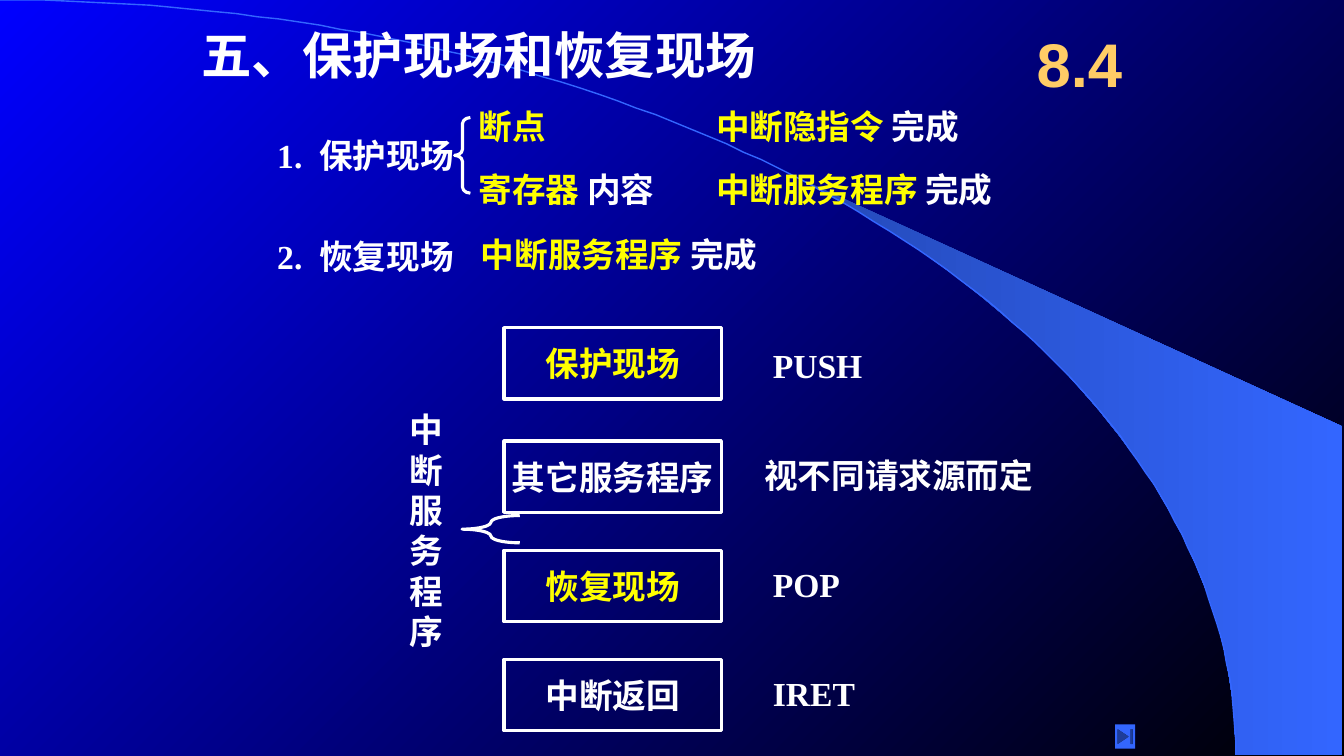
from dataclasses import dataclass
from math import asin, cos, pi, sin

from lxml.etree import SubElement
from pptx import Presentation
from pptx.dml.color import RGBColor as RGB
from pptx.enum.shapes import MSO_SHAPE as SHAPE
from pptx.enum.text import MSO_ANCHOR as ANCHOR, PP_ALIGN as ALIGN
from pptx.oxml.ns import qn
from pptx.util import Emu, Pt

PX = 9525
WIDTH, HEIGHT = 1280, 720


@dataclass(frozen=True)
class Theme:
    """Colours, fonts and sizes of the slide."""
    white: str = "FFFFFF"
    yellow: str = "FFFF00"
    gold: str = "FFCC66"
    blue: str = "3366FF"
    wedge: str = "2449B6"
    sky: str = "0000FF"
    night: str = "000000"
    serif: str = "Times New Roman"
    sans: str = "Arial"
    title: int = 36
    body: int = 24
    number: int = 44
    stroke: float = 2.25


T = Theme()


def px(*values):
    """Turn pixel lengths into EMU."""
    return [Emu(round(v * PX)) for v in values]


def fill_gradient(fill, colors, angle):
    """Give a fill a two-stop linear gradient."""
    fill.gradient()
    fill.gradient_angle = angle
    for stop, position, color in zip(fill.gradient_stops, (0, 1), colors):
        stop.position = position
        stop.color.rgb = RGB.from_string(color)


def stroke(sp, color, width):
    """Outline a shape without filling or shading it."""
    sp.shadow.inherit = False
    sp.fill.background()
    sp.line.color.rgb = RGB.from_string(color)
    sp.line.width = Pt(width)


def write(sp, lines, size=T.body, font=T.serif, align=ALIGN.LEFT):
    """Fill a shape with lines, each a list of (text, colour) runs."""
    tf = sp.text_frame
    tf.word_wrap = True
    tf.vertical_anchor = ANCHOR.MIDDLE
    tf.margin_left = tf.margin_right = 0
    tf.margin_top, tf.margin_bottom = px(5, 5)
    for i, runs in enumerate(lines):
        p = tf.add_paragraph() if i else tf.paragraphs[0]
        p.alignment = align
        for text, color in runs:
            r = p.add_run()
            r.text = text
            r.font.name, r.font.size, r.font.bold = font, Pt(size), True
            r.font.color.rgb = RGB.from_string(color)
            if text == " ":
                r.font._element.set("spc", "600")


def label(s, box, lines, **style):
    """Add a text box."""
    sp = s.shapes.add_textbox(*px(*box))
    write(sp, lines, **style)
    return sp


def brace(s, box, bend):
    """Add a left brace."""
    sp = s.shapes.add_shape(SHAPE.LEFT_BRACE, *px(*box))
    stroke(sp, T.white, T.stroke)
    sp.adjustments[0] = bend


def outline(s, points, close):
    """Add a freeform through the given pixel points."""
    builder = s.shapes.build_freeform(*points[0], scale=PX)
    builder.add_line_segments(points[1:], close=close)
    return builder.convert_to_shape()


def backdrop(s, box):
    """Draw the gradient sky, the light wedge and the arc."""
    x, y, w, h = box
    fill_gradient(s.background.fill, (T.sky, T.night), 315)
    rx, ry = 1177, h - 1
    right = x + w - 2

    def arc(start, steps):
        angles = [start + (pi / 2 - start) * i / steps for i in range(steps + 1)]
        return [(x + rx * sin(a), y + ry * (1 - cos(a))) for a in angles]

    wedge = outline(s, arc(asin(755 / rx), 24) + [(right, y + ry), (right, y + 406)], True)
    wedge.shadow.inherit = False
    fill_gradient(wedge.fill, (T.wedge, T.blue), 0)
    wedge.line.fill.background()
    stroke(outline(s, arc(0, 90), False), T.blue, 1)


def heading(s, box):
    """Place the title and the section number."""
    x, y, w, h = box
    title = s.shapes.title
    title.left, title.top, title.width, title.height = px(x, y, w, h)
    write(title, [[("五、保护现场和恢复现场", T.white)]], size=T.title)
    s.shapes._spTree.append(title._element)
    label(s, (x + 776, y - 8, 120, 88), [[("8.4", T.gold)]],
          size=T.number, font=T.sans, align=ALIGN.CENTER)


def duties(s, box):
    """List what is saved and restored, and by whom."""
    x, y, w, h = box
    done = ("完成", T.white)
    service = [("中断服务程序 ", T.yellow), done]
    items = [
        (0, 24, 56, [("1.", T.white), (" ", T.white), ("保护现场", T.white)]),
        (0, 120, 56, [("2.", T.white), (" ", T.white), ("恢复现场", T.white)]),
        (192, 0, 48, [("断点", T.yellow)]),
        (192, 56, 56, [("寄存器 ", T.yellow), ("内容", T.white)]),
        (194, 122, 48, service),
        (418, 0, 48, [("中断隐指令 ", T.yellow), done]),
        (418, 56, 56, service),
    ]
    for dx, dy, height, runs in items:
        width = 190 if dx == 0 else 210 if dx == 192 else w - 418
        label(s, (x + dx, y + dy, width, height), [runs])
    brace(s, (x + 169, y + 16, 15, 72), 0.39)


def service_program(s, box):
    """Draw the steps of the service program with their remarks."""
    x, y, w, h = box
    steps = [
        (0, "保护现场", T.yellow, 346, 8, "PUSH"),
        (108, "其它服务程序", T.white, 338, 4, "视不同请求源而定"),
        (212, "恢复现场", T.yellow, 346, 4, "POP"),
        (316, "中断返回", T.white, 346, 4, "IRET"),
    ]
    for top, name, color, dx, dy, remark in steps:
        sp = s.shapes.add_shape(SHAPE.RECTANGLE, *px(x + 90, y + top, 207, 68))
        stroke(sp, T.white, T.stroke)
        write(sp, [[(name, color)]], align=ALIGN.CENTER)
        label(s, (x + dx, y + top + dy, w - dx, 56), [[(remark, T.white)]])
    label(s, (x, y + 72, 34, 242), [[(c, T.white)] for c in "中断服务程序"])
    brace(s, (x + 50, y + 179, 55, 26), 1)


def end_button(s, box):
    """Add the small end button."""
    sp = s.shapes.add_shape(SHAPE.ACTION_BUTTON_END, *px(*box))
    sp.shadow.inherit = False
    sp.fill.solid()
    sp.fill.fore_color.rgb = RGB.from_string(T.blue)
    sp.line.fill.background()


def main():
    """Build and save the slide."""
    prs = Presentation()
    prs.slide_width, prs.slide_height = px(WIDTH, HEIGHT)
    s = prs.slides.add_slide(prs.slide_layouts[5])
    backdrop(s, (0, 0, WIDTH, HEIGHT))
    heading(s, (192, 24, 664, 56))
    duties(s, (264, 96, 750, 176))
    service_program(s, (390, 312, 640, 384))
    end_button(s, (1062, 690, 19, 23))
    prs.save("out.pptx")


if __name__ == "__main__":
    main()
